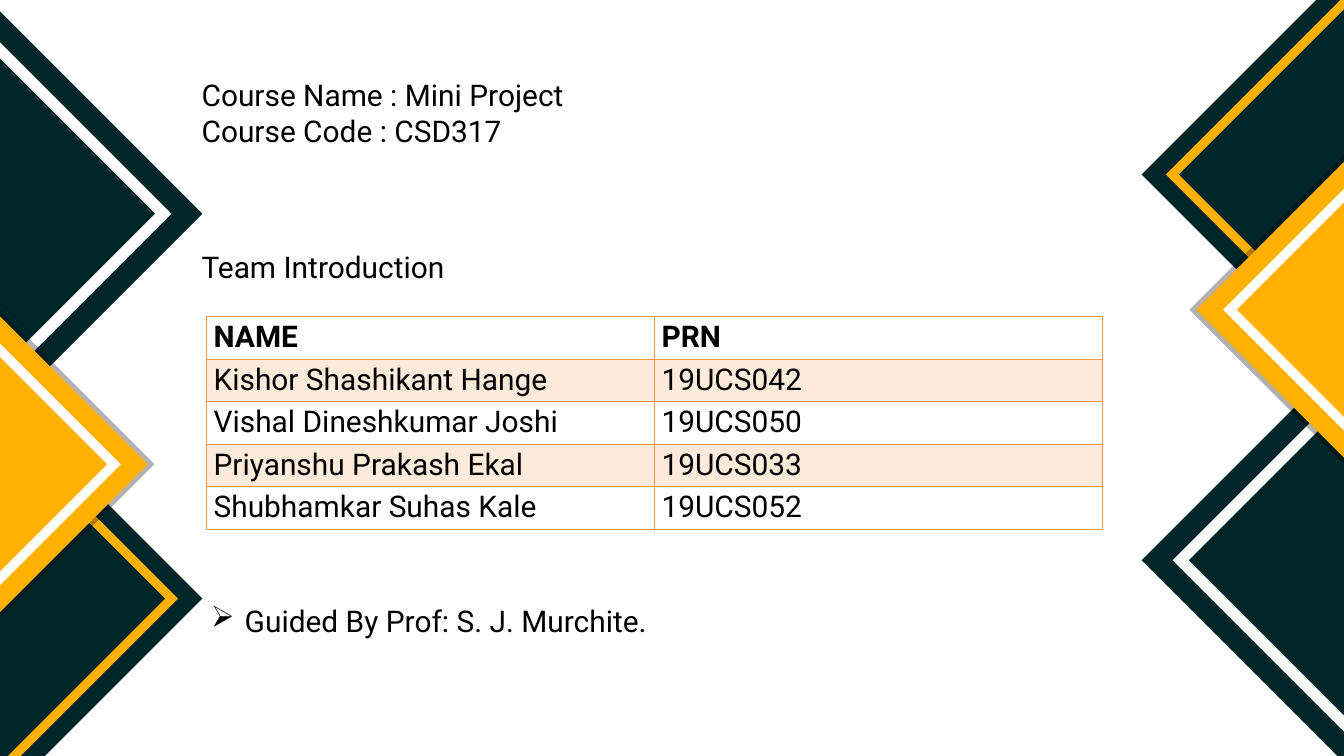
from lxml.etree import SubElement
from pptx import Presentation
from pptx.dml.color import RGBColor
from pptx.enum.text import MSO_ANCHOR, PP_ALIGN
from pptx.oxml.ns import qn
from pptx.util import Cm, Pt

SLIDE_W, SLIDE_H = 50.8, 28.58
FONT, TEXT_SIZE = "Roboto", Pt(32)
COLORS = {"dark": "002629", "gold": "FFB000", "white": "FFFFFF",
          "black": "000000", "orange": "F79646"}

COURSE = "Course Name : Mini Project\vCourse Code : CSD317"
TEAM_HEADING = "Team Introduction"
TEAM = [
    ("NAME", "PRN"),
    ("Kishor Shashikant Hange", "19UCS042"),
    ("Vishal Dineshkumar Joshi", "19UCS050"),
    ("Priyanshu Prakash Ekal", "19UCS033"),
    ("Shubhamkar Suhas Kale", "19UCS052"),
]
GUIDE = "Guided By Prof: S. J. Murchite."

# Edge diamonds, back to front: centre heights (right, left), outer reach,
# inner reach (0 is solid), colour, opacity in percent
DIAMONDS = [
    ((21.18, 8.08), 7.65, 0, "dark", 100),
    ((21.18, 8.08), 6.48, 5.87, "white", 100),
    ((6.6, 22.63), 7.65, 0, "dark", 100),
    ((6.6, 22.63), 6.73, 6.25, "gold", 100),
    ((11.71, 17.55), 5.84, 0, "black", 30),
    ((11.71, 17.55), 5.59, 0, "gold", 100),
    ((11.71, 17.55), 4.57, 4.06, "white", 100),
]


def paint(fill, color, opacity=100):
    fill.solid()
    fill.fore_color.rgb = RGBColor.from_string(COLORS[color])
    if opacity < 100:
        rgb = fill._xPr.find(qn("a:solidFill"))[0]
        SubElement(rgb, qn("a:alpha"), val=str(opacity * 1000))


def arm_end(reach, centre, way):
    """Where a 45-degree arm meets the side, top or bottom of the slide."""
    y = min(max(centre + way * reach, 0), SLIDE_H)
    return reach - abs(y - centre), y


def diamond_outline(centre, outer, inner):
    top, bottom = arm_end(outer, centre, -1), arm_end(outer, centre, 1)
    inner_top, inner_bottom = arm_end(inner, centre, -1), arm_end(inner, centre, 1)
    points = [top, (outer, centre), bottom]
    if inner_bottom[0] < 0.01:
        points.append((0, bottom[1]))
    points += [inner_bottom, (inner, centre), inner_top]
    if inner_top[0] < 0.01:
        points.append((0, top[1]))
    return points


def add_diamond(slide, on_right, centre, outer, inner, color, opacity):
    points = [(Cm(SLIDE_W - x if on_right else x), Cm(y))
              for x, y in diamond_outline(centre, outer, inner)]
    builder = slide.shapes.build_freeform(*points[0])
    builder.add_line_segments(points[1:], close=True)
    diamond = builder.convert_to_shape()
    diamond.shadow.inherit = False
    diamond.line.fill.background()
    paint(diamond.fill, color, opacity)


def style(paragraph, bold=False):
    paragraph.alignment = PP_ALIGN.LEFT
    font = paragraph.font
    font.name, font.size, font.bold = FONT, TEXT_SIZE, bold
    font.color.rgb = RGBColor.from_string(COLORS["black"])


def fill_frame(frame, text):
    frame.margin_left = frame.margin_right = 0
    frame.margin_top = frame.margin_bottom = 0
    frame.word_wrap = True
    frame.vertical_anchor = MSO_ANCHOR.TOP
    paragraph = frame.paragraphs[0]
    paragraph.text = text
    return paragraph


def add_borders(cell):
    tc_pr = cell._tc.get_or_add_tcPr()
    for side in ("lnL", "lnR", "lnT", "lnB"):
        line = SubElement(tc_pr, qn(f"a:{side}"), w=str(Pt(1)))
        solid = SubElement(line, qn("a:solidFill"))
        SubElement(solid, qn("a:srgbClr"), val=COLORS["orange"])


def add_team_table(slide):
    width, row_height = 33.86, 1.58
    table = slide.shapes.add_table(
        len(TEAM), len(TEAM[0]), Cm(7.82), Cm(11.96),
        Cm(width), Cm(row_height * len(TEAM))).table
    table.horz_banding = False
    for r, member in enumerate(TEAM):
        for c, value in enumerate(member):
            cell = table.cell(r, c)
            cell.text = value
            style(cell.text_frame.paragraphs[0], bold=r == 0)
            add_borders(cell)
            if r % 2:
                paint(cell.fill, "orange", 20)
            else:
                cell.fill.background()


def main():
    prs = Presentation()
    prs.slide_width, prs.slide_height = Cm(SLIDE_W), Cm(SLIDE_H)
    slide = prs.slides.add_slide(prs.slide_layouts[5])

    # Edge decoration
    for (right, left), *look in DIAMONDS:
        add_diamond(slide, True, right, *look)
        add_diamond(slide, False, left, *look)

    # Course title, brought in front of the decoration
    title = slide.shapes.title
    title.left, title.top = Cm(7.62), Cm(2.9)
    title.width, title.height = Cm(21.84), Cm(2.74)
    style(fill_frame(title.text_frame, COURSE))
    slide.shapes._spTree.append(title._element)

    # Team heading and table
    heading = slide.shapes.add_textbox(Cm(7.62), Cm(9.4), Cm(35.43), Cm(2.29))
    style(fill_frame(heading.text_frame, TEAM_HEADING))
    add_team_table(slide)

    # Guide
    guide = slide.shapes.add_textbox(Cm(7.98), Cm(22.78), Cm(35.43), Cm(2.13))
    paragraph = fill_frame(guide.text_frame, GUIDE)
    p_pr = paragraph._p.get_or_add_pPr()
    p_pr.set("marL", str(Cm(1.27)))
    p_pr.set("indent", str(-Cm(1.27)))
    SubElement(p_pr, qn("a:buChar"), char="➢")
    style(paragraph)

    prs.save("out.pptx")


if __name__ == "__main__":
    main()
